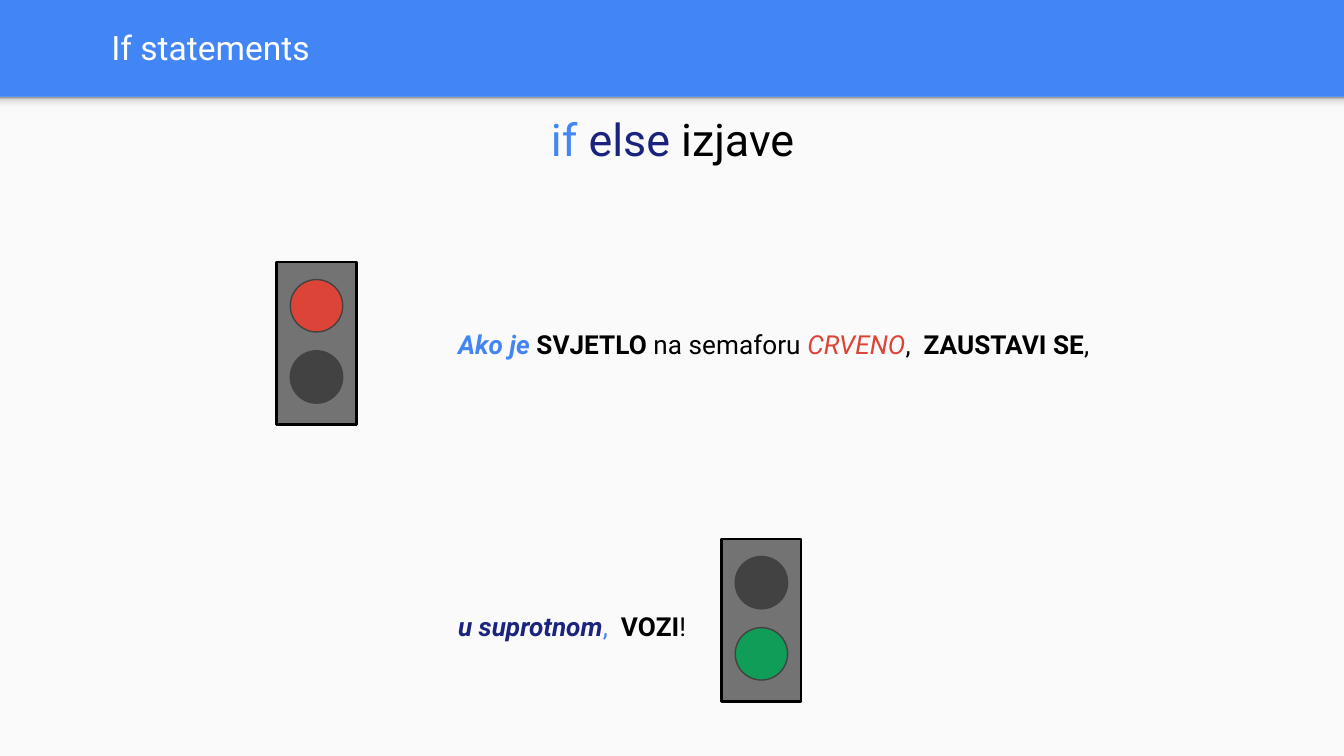
from lxml import etree
from pptx import Presentation
from pptx import util as u
from pptx.dml.color import RGBColor
from pptx.enum import shapes, text
from pptx.oxml.ns import qn

COLORS = {
    "blue": "4285F4", "navy": "1A237E", "black": "000000", "white": "FFFFFF",
    "paper": "FAFAFA", "housing": "737373", "off": "424242",
    "red": "DB4437", "green": "0F9D58",
}
SHADOW_STOPS = [(0, "F9F9F9"), (36, "F9F9F9"), (80, "DEDEDE"), (100, "999999")]
FONT = "Roboto"


def color(name):
    return RGBColor.from_string(COLORS[name])


def add_shape(parent, kind, box, fill, line=None, width=0.75):
    shape = parent.shapes.add_shape(kind, *[u.Inches(length) for length in box])
    shape.shadow.inherit = False
    shape.fill.solid()
    shape.fill.fore_color.rgb = color(fill)
    if line:
        shape.line.color.rgb = color(line)
        shape.line.width = u.Pt(width)
    else:
        shape.line.fill.background()
    return shape


def add_text(slide, box, lines, size, align=text.PP_ALIGN.LEFT,
             anchor=text.MSO_ANCHOR.TOP, gap=0):
    """Each line is a list of runs: (words, colour, style letters b and i)."""
    frame = slide.shapes.add_textbox(*[u.Inches(length) for length in box]).text_frame
    frame.word_wrap = True
    frame.vertical_anchor = anchor
    frame.margin_left = frame.margin_right = u.Inches(0.1)
    frame.margin_top = frame.margin_bottom = u.Inches(0.1)
    for index, runs in enumerate(lines):
        paragraph = frame.add_paragraph() if index else frame.paragraphs[0]
        paragraph.alignment = align
        paragraph.space_before = u.Pt(gap if index else 0)
        for words, name, style in runs:
            run = paragraph.add_run()
            run.text = words
            run.font.name = FONT
            run.font.size = u.Pt(size)
            run.font.color.rgb = color(name)
            run.font.bold = "b" in style
            run.font.italic = "i" in style


def add_backdrop(slide, left, top, width, height):
    """Blue header above a paper panel, with a soft shadow between them."""
    slide.background.fill.solid()
    slide.background.fill.fore_color.rgb = color("blue")
    rectangle = shapes.MSO_SHAPE.RECTANGLE
    add_shape(slide, rectangle, (left, top, width, height), "paper")
    shadow = add_shape(slide, rectangle, (left, top, width, 0.12), "paper")
    shadow.fill.gradient()
    shadow.fill.gradient_angle = 90
    stops = shadow.element.spPr.find(qn("a:gradFill")).find(qn("a:gsLst"))
    for stop in list(stops):
        stops.remove(stop)
    for percent, value in SHADOW_STOPS:
        stop = etree.SubElement(stops, qn("a:gs"), pos=str(percent * 1000))
        etree.SubElement(stop, qn("a:srgbClr"), val=value)


def add_traffic_light(slide, left, top, lamps):
    group = slide.shapes.add_group_shape()
    add_shape(group, shapes.MSO_SHAPE.RECTANGLE, (left, top, 0.59, 1.21),
              "housing", "black", 1.5)
    for index, lamp in enumerate(lamps):
        box = (left + 0.1, top + 0.13 + index * 0.53, 0.39, 0.39)
        add_shape(group, shapes.MSO_SHAPE.OVAL, box, lamp, "off")


def main():
    presentation = Presentation()
    presentation.slide_width = u.Inches(10)
    presentation.slide_height = presentation.slide_width * 9 // 16
    slide = presentation.slides.add_slide(presentation.slide_layouts[6])

    # Header and heading
    add_backdrop(slide, 0, 0.72, 10, 4.91)
    add_text(slide, (0.73, 0.02, 9.27, 0.66), [[("If statements", "white", "")]], 18,
             anchor=text.MSO_ANCHOR.MIDDLE)
    heading = [("if ", "blue", ""), ("else ", "navy", ""), ("izjave", "black", "")]
    add_text(slide, (1.84, 0.73, 6.33, 0.61), [heading], 24, text.PP_ALIGN.CENTER)

    # Traffic lights
    add_traffic_light(slide, 2.06, 1.95, ["red", "off"])
    add_traffic_light(slide, 5.37, 4.01, ["off", "green"])

    # Condition and alternative
    condition = [
        ("Ako je ", "blue", "bi"), ("SVJETLO", "black", "b"),
        (" na semaforu ", "black", ""), ("CRVENO", "red", "i"),
        (",  ", "black", ""), ("ZAUSTAVI SE", "black", "b"), (", ", "black", ""),
    ]
    alternative = [
        ("u suprotnom", "navy", "bi"), (",  ", "blue", ""),
        ("VOZI", "black", "b"), ("!", "black", ""),
    ]
    add_text(slide, (3.31, 2.34, 5.71, 2.56), [condition, alternative], 14, gap=134.5)

    presentation.save("out.pptx")


if __name__ == "__main__":
    main()
